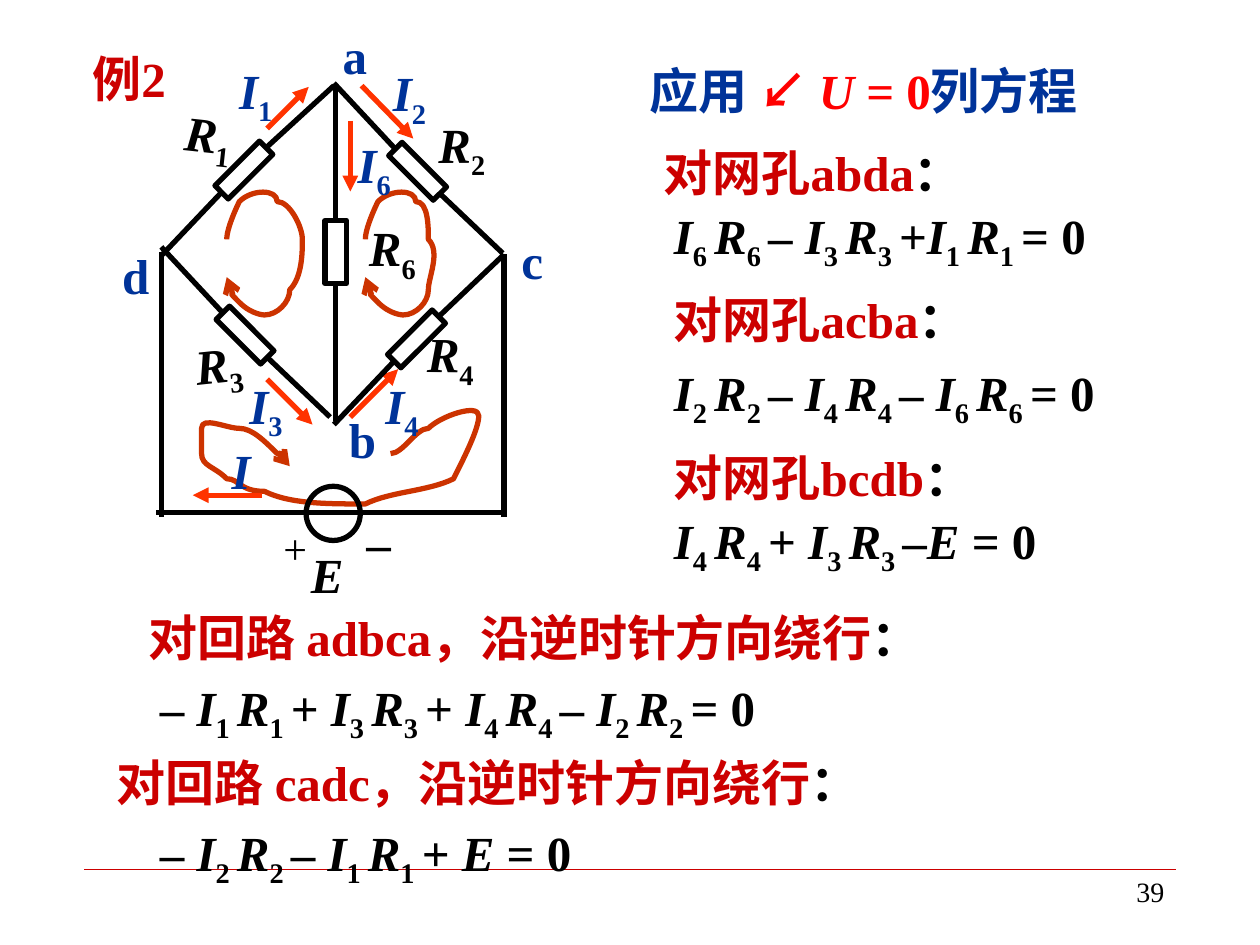
from dataclasses import dataclass
from itertools import groupby
from math import cos, radians, sin

from lxml import etree
from pptx import Presentation
from pptx import util as u
from pptx.dml.color import RGBColor
from pptx.enum import shapes, text
from pptx.oxml.ns import qn

BLACK = RGBColor(0x00, 0x00, 0x00)
RED = RGBColor(0xCC, 0x00, 0x00)
BRIGHT = RGBColor(0xFF, 0x00, 0x00)
NAVY = RGBColor(0x00, 0x33, 0x99)
ORANGE = RGBColor(0xFF, 0x33, 0x00)
RUST = RGBColor(0xCC, 0x33, 0x00)

deck = Presentation()
deck.slide_width, deck.slide_height = u.Inches(10), u.Inches(7.5)
COL = deck.slide_width // 100
ROW = deck.slide_height // 75
slide = deck.slides.add_slide(deck.slide_layouts[5])
Point = tuple[float, float]
LEFT, MID, RIGHT = text.PP_ALIGN.LEFT, text.PP_ALIGN.CENTER, text.PP_ALIGN.RIGHT


@dataclass
class Note:
    words: list[tuple[str, RGBColor]]
    col: float
    row: float
    wide: float
    high: float = 5.7
    align: text.PP_ALIGN = LEFT
    size: float = 28
    bold: bool = True
    wrap: bool = True
    turn: float = 0


@dataclass
class Load:
    col: float
    row: float
    turn: float
    ends: tuple[Point, Point]
    wide: float = 1.5
    high: float = 5


def spot(col: float, row: float) -> tuple[int, int]:
    return round(col * COL), round(row * ROW)


def style(line: str) -> list[tuple[str, bool, bool]]:
    marks, low = [], False
    for sign in line:
        if sign == "_":
            low = True
            continue
        low = low and (sign.isdigit() or sign == " ")
        marks.append((sign, sign in "IREU", low))
    return [("".join(m[0] for m in run), *key)
            for key, run in groupby(marks, lambda m: m[1:])]


def fill(shape, note: Note) -> None:
    frame = shape.text_frame
    for key, val in {"word_wrap": note.wrap, "auto_size": text.MSO_AUTO_SIZE.NONE,
                     "margin_left": COL, "margin_right": COL,
                     "margin_top": ROW // 2, "margin_bottom": ROW // 2}.items():
        setattr(frame, key, val)
    para = frame.paragraphs[0]
    para.alignment = note.align
    for line, tint in note.words:
        for piece, slant, low in style(line):
            run = para.add_run()
            run.text = piece
            for key, val in {"name": "Times New Roman", "size": u.Pt(note.size),
                             "bold": note.bold, "italic": slant}.items():
                setattr(run.font, key, val)
            run.font.color.rgb = tint
            if low:
                run.font._element.set("baseline", "-25000")


def write(note: Note) -> None:
    box = slide.shapes.add_textbox(*spot(note.col, note.row), *spot(note.wide, note.high))
    box.rotation = note.turn
    fill(box, note)


def ink(shape, tint: RGBColor, wide: float = 3, head: str = "") -> None:
    shape.line.color.rgb = tint
    shape.line.width = u.Pt(wide)
    if head:
        etree.SubElement(shape.line._get_or_add_ln(), qn("a:tailEnd"), type=head)


def wire(start: Point, end: Point, tint: RGBColor = BLACK, wide: float = 3, head: str = ""):
    link = slide.shapes.add_connector(shapes.MSO_CONNECTOR.STRAIGHT, *spot(*start), *spot(*end))
    ink(link, tint, wide, head)
    etree.SubElement(link._element.spPr, qn("a:effectLst"))
    return link


def block(kind, col: float, row: float, wide: float, high: float, turn: float = 0):
    shape = slide.shapes.add_shape(kind, *spot(col - wide / 2, row - high / 2), *spot(wide, high))
    shape.rotation = turn
    shape.shadow.inherit = False
    shape.fill.background()
    ink(shape, BLACK)
    return shape


def mount(load: Load) -> None:
    body = block(shapes.MSO_SHAPE.RECTANGLE, load.col, load.row, load.wide, load.high, load.turn)
    for site, way, end in zip((0, 2), (1, -1), load.ends):
        reach = way * load.high / 2
        start = (load.col + reach * sin(radians(load.turn)),
                 load.row - reach * cos(radians(load.turn)))
        link = wire(start, end)
        link.begin_connect(body, site)
        link.begin_x, link.begin_y = spot(*start)


def loop(points: list[Point], shift: float = 0) -> None:
    pen = [(x + shift, y) for x, y in points]
    build = slide.shapes.build_freeform(*pen[0], scale=COL)
    build.add_line_segments(pen[1:], close=False)
    shape = build.convert_to_shape()
    trail = next(shape._element.iter(qn("a:path")))
    steps = trail.findall(qn("a:lnTo"))
    for i in range(0, len(steps), 3):
        curve = etree.SubElement(trail, qn("a:cubicBezTo"))
        for step in steps[i:i + 3]:
            curve.append(step[0])
            trail.remove(step)
    shape.shadow.inherit = False
    shape.fill.background()
    ink(shape, RUST, head="arrow")


MESH = [(18, 18.7), (18.3, 18.2), (18.7, 16), (19.4, 15.5), (20.2, 15), (21.8, 15.2),
        (22.5, 15.8), (23.2, 16.5), (23.5, 18), (23.6, 19.2), (23.7, 20.4), (23.5, 22.1),
        (23.1, 23), (22.7, 23.9), (21.8, 24.6), (21.2, 24.9), (20.6, 25.1), (19.7, 24.7),
        (19.3, 24.5), (18.9, 24.3), (19, 24.1), (18.7, 23.7), (18.5, 23.3), (18, 22.4),
        (17.8, 22.1)]
BASE = [(31.2, 36.1), (31.7, 35.7), (33, 34.4), (34.1, 33.9), (35.2, 33.4), (37.6, 32.5),
        (37.8, 33.1), (38.1, 33.7), (37.1, 36.4), (35.6, 37.5), (34, 38.6), (31, 39.3),
        (28.6, 39.7), (26.2, 40), (23, 39.7), (21.2, 39.4), (19.4, 39.1), (18.7, 38.5),
        (17.8, 37.9), (17, 37.3), (16.5, 36.8), (16.2, 36.1), (15.9, 35.3), (15.5, 34),
        (16, 33.7), (16.4, 33.3), (17.9, 33.6), (18.9, 33.9), (19.9, 34.3), (21.3, 35.1),
        (22, 35.6), (22.7, 36.1), (22.8, 36.6), (23, 36.9)]
LOADS = [
    Load(19.35, 13.5, 45, ((26.5, 6.8), (12.8, 20.3))),
    Load(33.15, 13.6, 315, ((26.5, 6.6), (39.9, 20.1))),
    Load(19.45, 26.6, 315, ((12.8, 19.6), (26.2, 33.1))),
    Load(33.05, 26.9, 45, ((40, 20.2), (26.5, 33.7))),
    Load(26.65, 20, 0, ((26.65, 6.8), (26.65, 33.4)), 1.7),
]
FLOWS = [((27.8, 9.6), (27.8, 15.2)), ((20.8, 39.3), (15.3, 39.3)),
         ((28.7, 6.8), (32.8, 11)), ((27.8, 33.1), (31.6, 29.3)),
         ((21.2, 30.1), (24.8, 33.7)), ((21.2, 10.2), (24.5, 6.9))]
RAILS = [((40, 20.2), (40, 41)), ((12.8, 20), (12.8, 41)), ((40, 40.7), (12.4, 40.7))]
HEADS = [("对网孔abda", 51.7, 10.8), ("对网孔acba", 52.5, 22.5), ("对网孔bcdb", 52.5, 35),
         ("对回路 adbca，沿逆时针方向绕行", 10.8, 47.7),
         ("对回路 cadc，沿逆时针方向绕行", 8.3, 59.2)]
SUMS = [("I_6 R_6 – I_3 R_3 +I_1 R_1 = 0", 52.5, 15.8),
        ("I_2 R_2 – I_4 R_4 – I_6 R_6 = 0", 52.5, 28.3),
        ("I_4 R_4 + I_3 R_3 –E = 0", 52.5, 40),
        ("– I_1 R_1 + I_3 R_3 + I_4 R_4 – I_2 R_2 = 0", 11.7, 53.3),
        ("– I_2 R_2 – I_1 R_1 + E = 0", 11.7, 64.8)]
NODES = [("a", 26.2, 1.5, 3.9), ("d", 8.7, 19, 4.1), ("b", 26.7, 32, 4.1), ("c", 40.4, 17.8, 3.7),
         ("I", 17.4, 34.5, 3.5), ("I_1", 18, 4.3, 4.6), ("I_2", 30.2, 4.5, 4.6),
         ("I_3", 18.8, 29.3, 4.5), ("I_4", 29.6, 29.3, 4.6), ("I_6", 27.4, 10.2, 4.6)]
SIGNS = [("R_1", 13.7, 7.8, 5.7, 6.2), ("R_2", 33.8, 8.6, 5.7, -0.3),
         ("R_3", 14.5, 26, 5.7, -6.1), ("R_4", 32.9, 25.2, 5.7, 0.5),
         ("R_6", 28.3, 16.8, 5.7, 0), ("E", 23.7, 42.7, 4.6, 0), ("–", 28.1, 40.2, 4, 0)]


def main() -> None:
    wire((6.7, 69), (93.3, 69), RED, 0.25)
    write(Note([("39", BLACK)], 71.7, 68.9, 21.7, 5.2, RIGHT, 16, False))
    title = slide.shapes.title
    title.left, title.top = spot(2.1, 2.7)
    title.width, title.height = spot(16.3, 8.1)
    fill(title, Note([("例2", RED)], 2.1, 2.7, 16.3, 8.1, MID))
    title.text_frame.vertical_anchor = text.MSO_ANCHOR.MIDDLE
    title.text_frame.paragraphs[0].line_spacing = 0.7
    loop(MESH)
    loop(MESH, 10.9)
    loop(BASE)
    write(Note([("应用 ", NAVY), ("↙ U = 0", BRIGHT), ("列方程", NAVY)],
               48.3, 4.3, 40.5, align=MID))
    for line, col, row in HEADS:
        write(Note([(line, RED), ("：", BLACK)], col, row, 75 if col < 50 else 42.5))
    for line, col, row in SUMS:
        write(Note([(line, BLACK)], col, row, 57.5 if col < 50 else 45, 6.3))
    for line, col, row, wide in NODES:
        write(Note([(line, NAVY)], col, row, wide, wrap=False))
    for line, col, row, wide, turn in SIGNS:
        write(Note([(line, BLACK)], col, row, wide, wrap=False, turn=turn))
    write(Note([("+", BLACK)], 21.5, 41, 3.9, 5, size=24, bold=False, wrap=False))
    for start, end in RAILS:
        wire(start, end)
    for start, end in FLOWS:
        wire(start, end, ORANGE, head="triangle")
    block(shapes.MSO_SHAPE.OVAL, 26.45, 40.75, 4.3, 4.3)
    for load in LOADS:
        mount(load)
    deck.save("out.pptx")


if __name__ == "__main__":
    main()
